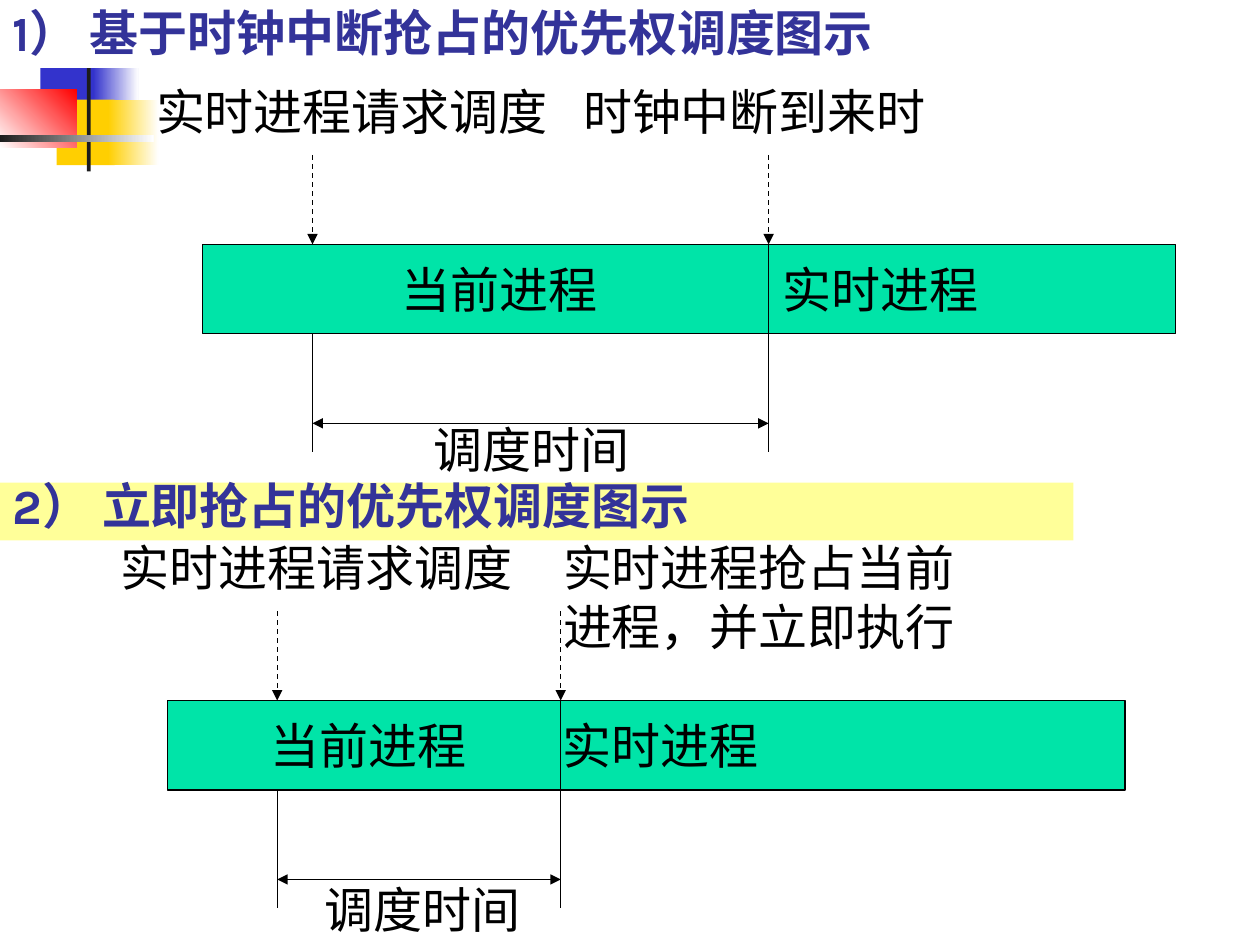
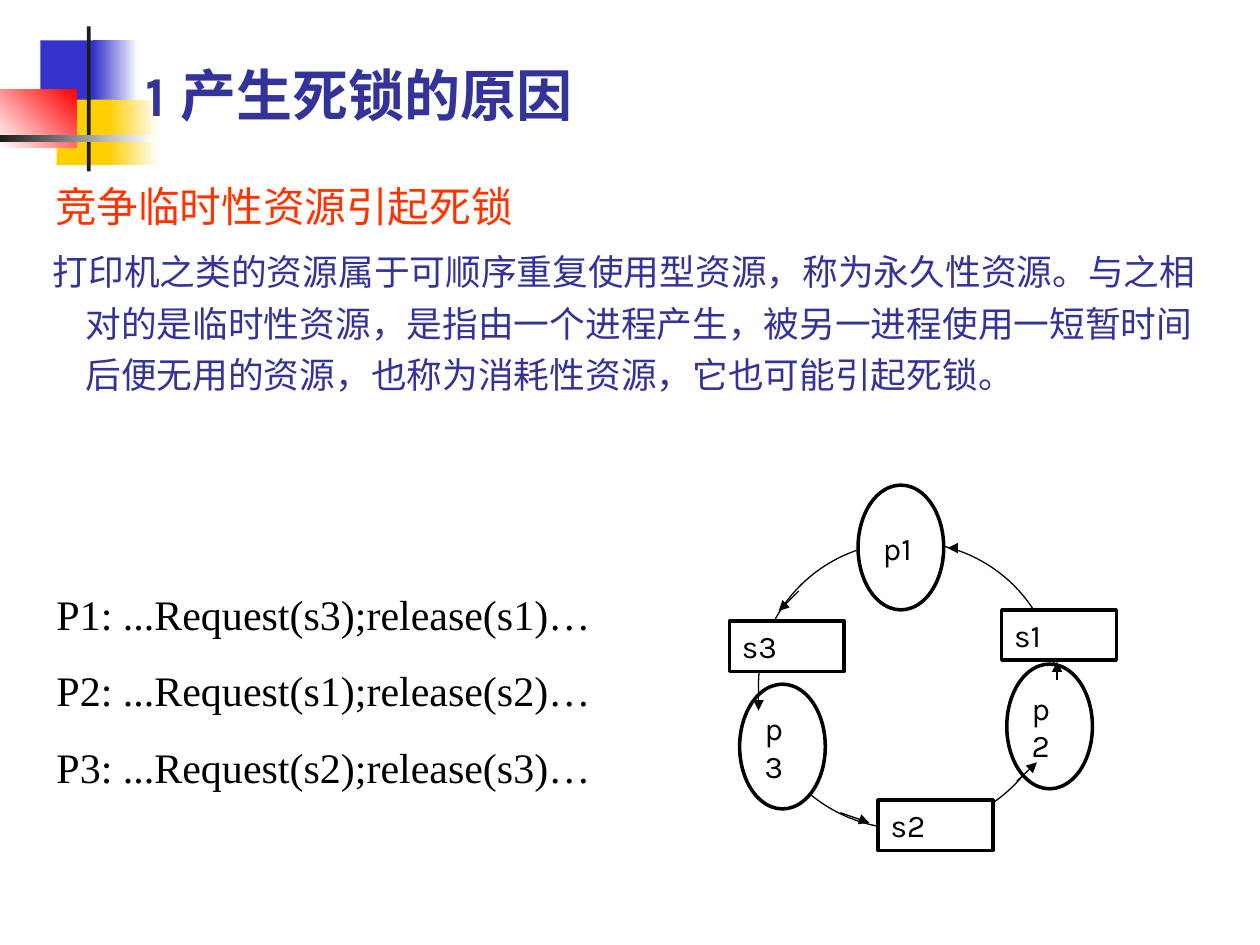
from lxml import etree
from pptx import Presentation
from pptx.dml.color import RGBColor
from pptx.enum.dml import MSO_LINE
from pptx.enum.shapes import MSO_CONNECTOR, MSO_SHAPE
from pptx.enum.text import MSO_ANCHOR, PP_ALIGN
from pptx.oxml.ns import qn
from pptx.util import Inches, Pt

RECTANGLE = MSO_SHAPE.RECTANGLE
OVAL = MSO_SHAPE.OVAL
STRAIGHT = MSO_CONNECTOR.STRAIGHT
DASH = MSO_LINE.DASH
TOP, MIDDLE, BOTTOM = MSO_ANCHOR.TOP, MSO_ANCHOR.MIDDLE, MSO_ANCHOR.BOTTOM
LEFT = PP_ALIGN.LEFT

COLORS = {
    "white": "FFFFFF", "black": "000000", "ink": "1C1C1C", "blue": "3333CC",
    "gold": "FFCF01", "red": "FF0000", "title": "333399", "heading": "FF3300",
    "bar": "00E4A8", "band": "FFFF99",
}
LATIN, TITLE_FONT = "Arial", "Karla"
BODY_FONT, CODE_FONT = "Noto Sans CJK SC", "Times New Roman"


def color(name):
    return RGBColor.from_string(COLORS[name])


def write(para, text, size, font, ink="black", bold=False):
    para.text = text
    para.alignment = LEFT
    para.font.size = Pt(size)
    para.font.name = font
    para.font.bold = bold
    para.font.color.rgb = color(ink)


def set_tabs(para, stops):
    tab_list = etree.SubElement(para._p.get_or_add_pPr(), qn("a:tabLst"))
    for stop in stops:
        etree.SubElement(tab_list, qn("a:tab"), pos=str(Inches(stop)), algn="l")


def add_block(page, box, fill=None, outline=None, kind=RECTANGLE, fade_to=None, angle=0):
    """Shape with a solid fill, a two-colour fade or no fill."""
    shape = page.shapes.add_shape(kind, *map(Inches, box))
    shape.shadow.inherit = False
    if fade_to:
        shape.fill.gradient()
        shape.fill.gradient_angle = angle
        for stop, name in zip(shape.fill.gradient_stops, (fill, fade_to)):
            stop.color.rgb = color(name)
    elif fill:
        shape.fill.solid()
        shape.fill.fore_color.rgb = color(fill)
    else:
        shape.fill.background()
    if outline:
        shape.line.color.rgb = color("black")
        shape.line.width = Pt(outline)
    else:
        shape.line.fill.background()
    return shape


def prepare_frame(shape, anchor):
    frame = shape.text_frame
    frame.word_wrap = True
    frame.vertical_anchor = anchor
    return frame


def add_label(page, box, lines, size=28, font=LATIN, space=0):
    """Text box with one paragraph per line."""
    frame = prepare_frame(page.shapes.add_textbox(*map(Inches, box)), TOP)
    for number, line in enumerate(lines):
        para = frame.add_paragraph() if number else frame.paragraphs[0]
        write(para, line, size, font)
        if number:
            para.space_before = Pt(space)


def add_line(page, start, end, ends=(), dashed=False):
    """Thin line; ends names the arrowheads it carries."""
    line = page.shapes.add_connector(STRAIGHT, *map(Inches, (*start, *end)))
    line.line.color.rgb = color("black")
    line.line.width = Pt(0.75)
    if dashed:
        line.line.dash_style = DASH
    for end_name in ends:
        etree.SubElement(line.line._get_or_add_ln(), qn(f"a:{end_name}"), type="triangle")
    etree.SubElement(line._element.spPr, qn("a:effectLst"))


def add_title(page, box, text, size=28, fill=None):
    frame = prepare_frame(add_block(page, box, fill), BOTTOM)
    write(frame.paragraphs[0], text, size, TITLE_FONT, "title", True)


def add_corner_ornament(page):
    """Coloured squares and crossed bars at the upper left."""
    add_block(page, (0.32, 0.32, 0.48, 0.52), "blue")
    add_block(page, (0.74, 0.32, 0.36, 0.52), "blue", fade_to="white")
    add_block(page, (0.45, 0.79, 0.46, 0.52), "gold")
    add_block(page, (0.86, 0.79, 0.4, 0.52), "gold", fade_to="white")
    add_block(page, (0, 0.71, 0.61, 0.46), "white", fade_to="red", angle=45)
    add_block(page, (0.69, 0.21, 0.03, 1.15), "ink")
    add_block(page, (0, 1.07, 1.22, 0.06), "ink", fade_to="white")


def add_timeline(page, left, top, bar_width, event, event_label, tabs, time_label):
    """Process bar with request and switch markers; event is the switch offset."""
    bar_top, bar_height = top + 1.34, 0.71
    bar_bottom = bar_top + bar_height
    request_x, event_x = left + 1.34, left + event
    axis_y, marker_end = top + 2.76, top + 2.99

    # Bar with the two processes
    bar = add_block(page, (left + 0.47, bar_top, bar_width, bar_height), "bar", 0.75)
    para = prepare_frame(bar, MIDDLE).paragraphs[0]
    set_tabs(para, tabs)
    write(para, "\t当前进程\t实时进程", 28, LATIN)

    # Markers and the time span
    add_line(page, (request_x, bar_bottom), (request_x, marker_end))
    add_line(page, (event_x, bar_top), (event_x, marker_end))
    add_line(page, (request_x, axis_y), (event_x, axis_y), ("headEnd", "tailEnd"))
    for x in (request_x, event_x):
        add_line(page, (x, top + 0.63), (x, bar_top), ("tailEnd",), dashed=True)

    # Captions
    event_offset, event_text, event_height = event_label
    time_offset, time_drop = time_label
    add_label(page, (left, top, 3.39, 0.57), ["实时进程请求调度"])
    add_label(page, (left + event_offset, top, 3.39, event_height), [event_text])
    add_label(page, (left + time_offset, top + time_drop, 1.89, 0.57), ["调度时间"])


def add_explanation(page, box):
    frame = prepare_frame(page.shapes.add_textbox(*map(Inches, box)), TOP)
    entries = [
        ("竞争临时性资源引起死锁", 23.8, "heading", -0.24),
        ("打印机之类的资源属于可顺序重复使用型资源，称为永久性资源。与之相对的是临时性资源，"
         "是指由一个进程产生，被另一进程使用一短暂时间后便无用的资源，也称为消耗性资源，"
         "它也可能引起死锁。", 20.4, "title", -0.26),
    ]
    for number, (text, size, ink, indent) in enumerate(entries):
        para = frame.add_paragraph() if number else frame.paragraphs[0]
        properties = para._p.get_or_add_pPr()
        properties.set("marL", str(Inches(0.38)))
        properties.set("indent", str(Inches(indent)))
        para.line_spacing = 1.2
        if number:
            para.space_before = Pt(6)
        write(para, text, size, BODY_FONT, ink)


def add_deadlock_ring(page, left, top):
    """Cycle of processes (ovals) and resources (boxes)."""
    add_block(page, (left + 0.23, top + 0.45, 2.36, 2.28), outline=0.75, kind=OVAL)

    resource, process = (RECTANGLE, 0.91, 0.4), (OVAL, 0.68, 0.99)
    nodes = [
        ("s3", resource, 0, 1.08), ("s1", resource, 2.16, 0.99), ("s2", resource, 1.18, 2.5),
        ("p3", process, 0.08, 1.58), ("p2", process, 2.2, 1.42), ("p1", process, 1.02, 0),
    ]
    for name, (kind, width, height), x, y in nodes:
        node = add_block(page, (left + x, top + y, width, height), "white", 2, kind)
        write(prepare_frame(node, MIDDLE).paragraphs[0], name, 18, TITLE_FONT)

    # Arrowheads along the ring
    arrows = [
        (0.88, 2.6, 1.11, 2.68), (0.23, 1.55, 0.23, 1.79), (0.55, 0.84, 0.39, 1),
        (1.81, 0.5, 1.73, 0.5), (2.6, 1.55, 2.6, 1.4), (2.28, 2.35, 2.44, 2.2),
    ]
    for x1, y1, x2, y2 in arrows:
        add_line(page, (left + x1, top + y1), (left + x2, top + y2), ("tailEnd",))


def add_page(deck):
    page = deck.slides.add_slide(deck.slide_layouts[6])
    add_corner_ornament(page)
    return page


def build_scheduling_page(deck):
    page = add_page(deck)
    add_title(page, (0, 0, 8.52, 0.54), "1） 基于时钟中断抢占的优先权调度图示", fill="white")
    add_timeline(page, 1.14, 0.6, 7.72, 4.96, (3.39, "时钟中断到来时", 0.57),
                 (1.48, 4.5), (2.2, 2.68))
    add_title(page, (0, 3.83, 8.52, 0.46), "2） 立即抢占的优先权调度图示", fill="band")
    add_timeline(page, 0.86, 4.22, 7.6, 3.59, (3.51, "实时进程抢占当前进程，并立即执行", 1.04),
                 (0.72, 3.04), (1.62, 2.71))


def build_deadlock_page(deck):
    page = add_page(deck)
    add_explanation(page, (0.2, 1.31, 9.61, 1.97))
    add_deadlock_ring(page, 5.79, 3.85)
    steps = [("P1", "s3", "s1"), ("P2", "s1", "s2"), ("P3", "s2", "s3")]
    add_label(page, (0.35, 4.62, 5.04, 2.33),
              [f"{name}: ...Request({wanted});release({held})…" for name, wanted, held in steps],
              24, CODE_FONT, 15)
    add_title(page, (1.06, 0.52, 8.52, 0.54), "1 产生死锁的原因", 32)


def main():
    deck = Presentation()
    deck.slide_width, deck.slide_height = Inches(10), Inches(7.5)
    build_scheduling_page(deck)
    build_deadlock_page(deck)
    deck.save("out.pptx")


if __name__ == "__main__":
    main()
